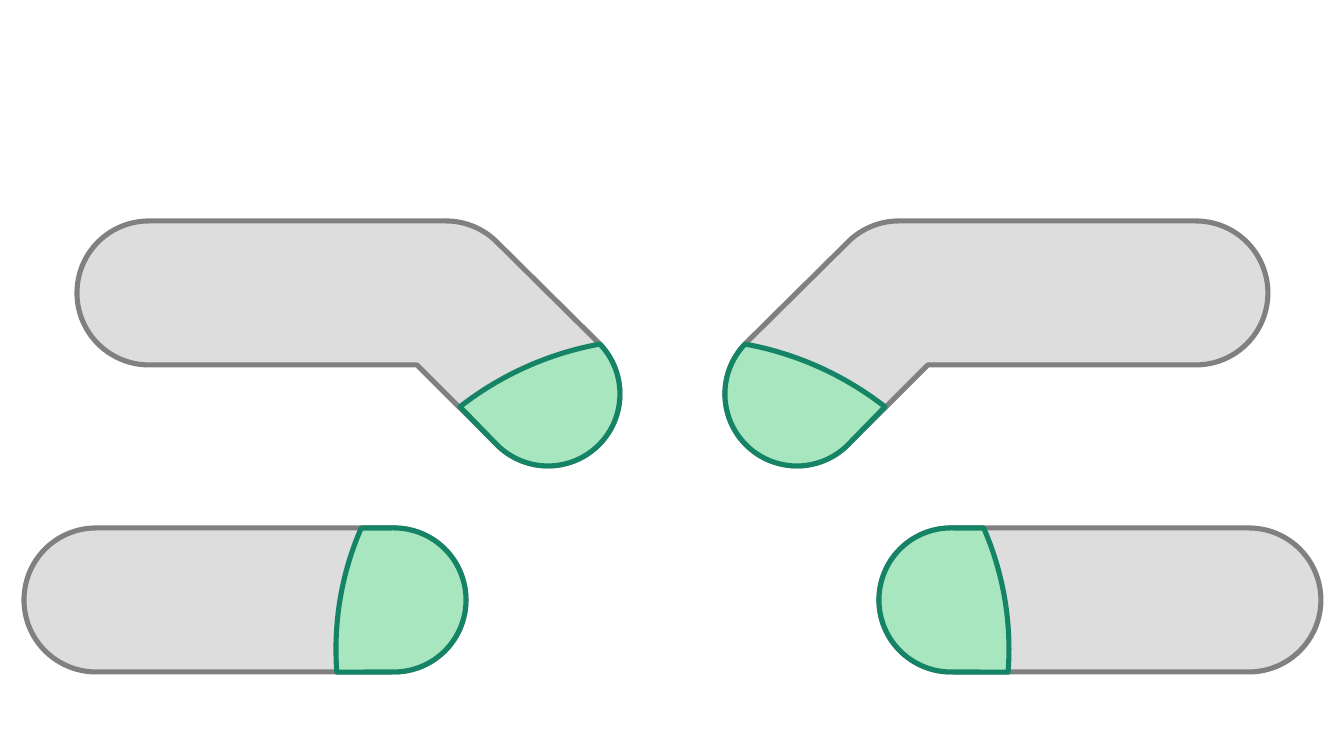
from math import ceil, cos, radians, sin, tan

from pptx import Presentation
from pptx.dml.color import RGBColor
from pptx.enum.shapes import MSO_SHAPE as Shape
from pptx.oxml.ns import qn
from pptx.util import Emu, Pt

# Content: lengths in px, angles in degrees clockwise from the right
WIDTH, HEIGHT = 1344, 756
MIRROR_SUM = 1345  # x of a point plus x of its mirror image
EMU_PER_PX = 914400 / 122
COLORS = {"arm": "DDDDDD", "arm_line": "808080",
          "tip": "A8E6C0", "tip_line": "158466"}
LINE_WIDTH = Pt(3)
RADIUS = 72
BAR = (24, 528, 442, 2 * RADIUS)

# An outline step is a point (x, y) or an arc (cx, cy, radius, start, end)
BENT_ARM = [
    (149, 293, RADIUS, 90, 270),
    (446, 293, RADIUS, 270, 315),
    (548, 394, RADIUS, -45, 135),
    (417, 365),
]
BENT_TIP = [
    (548, 394, RADIUS, -44, 135),
    (657, 659, 320, 232, 259.7),
]
BAR_TIP = [
    (394, 600, RADIUS, -90, 90),
    (638, 649, 302, 175.6, 203.6),
]


def px(value):
    return Emu(round(value * EMU_PER_PX))


def arc_segments(cx, cy, radius, start, end):
    """A line to the start of the arc, then one cubic curve per 30 degrees."""
    count = ceil((end - start) / 30)
    turn = radians(end - start) / count
    reach = 4 / 3 * tan(turn / 4)

    def at(angle, along=0):
        return (cx + radius * (cos(angle) - along * sin(angle)),
                cy + radius * (sin(angle) + along * cos(angle)))

    angles = [radians(start) + turn * i for i in range(count + 1)]
    curves = [(at(a, reach), at(b, -reach), at(b))
              for a, b in zip(angles, angles[1:])]
    return [(at(angles[0]),)] + curves


def trace(outline):
    """Segments of one point (a line) or three points (a curve)."""
    segments = []
    for step in outline:
        segments += [(step,)] if len(step) == 2 else arc_segments(*step)
    return segments


def paint(sp, part):
    sp.shadow.inherit = False
    sp.fill.solid()
    sp.fill.fore_color.rgb = RGBColor.from_string(COLORS[part])
    sp.line.color.rgb = RGBColor.from_string(COLORS[part + "_line"])
    sp.line.width = LINE_WIDTH


def add_outline(shapes, outline, part, mirrored):
    segments = trace(outline)
    points = [(px(MIRROR_SUM - x if mirrored else x), px(y))
              for segment in segments for x, y in segment]
    builder = shapes.build_freeform(*points[0])
    builder.add_line_segments(points[1:], close=True)
    sp = builder.convert_to_shape()

    # Join each group of three points into one curve
    lines = iter(list(sp._element.iter(qn("a:lnTo"))))
    for segment in segments[1:]:
        first, *others = [next(lines) for _ in segment]
        if others:
            first.tag = qn("a:cubicBezTo")
        for other in others:
            first.append(other[0])
            other.getparent().remove(other)
    paint(sp, part)


def add_bar(shapes, mirrored):
    left, top, width, height = BAR
    if mirrored:
        left = MIRROR_SUM - left - width
    sp = shapes.add_shape(Shape.ROUNDED_RECTANGLE,
                          px(left), px(top), px(width), px(height))
    sp.adjustments[0] = 0.5
    paint(sp, "arm")


def main():
    prs = Presentation()
    prs.slide_width, prs.slide_height = px(WIDTH), px(HEIGHT)
    shapes = prs.slides.add_slide(prs.slide_layouts[6]).shapes

    # Grey arms, right side first
    for mirrored in (True, False):
        add_outline(shapes, BENT_ARM, "arm", mirrored)
        add_bar(shapes, mirrored)

    # Green tips on top of them
    for mirrored in (False, True):
        add_outline(shapes, BAR_TIP, "tip", mirrored)
        add_outline(shapes, BENT_TIP, "tip", mirrored)

    prs.save("out.pptx")


if __name__ == "__main__":
    main()
